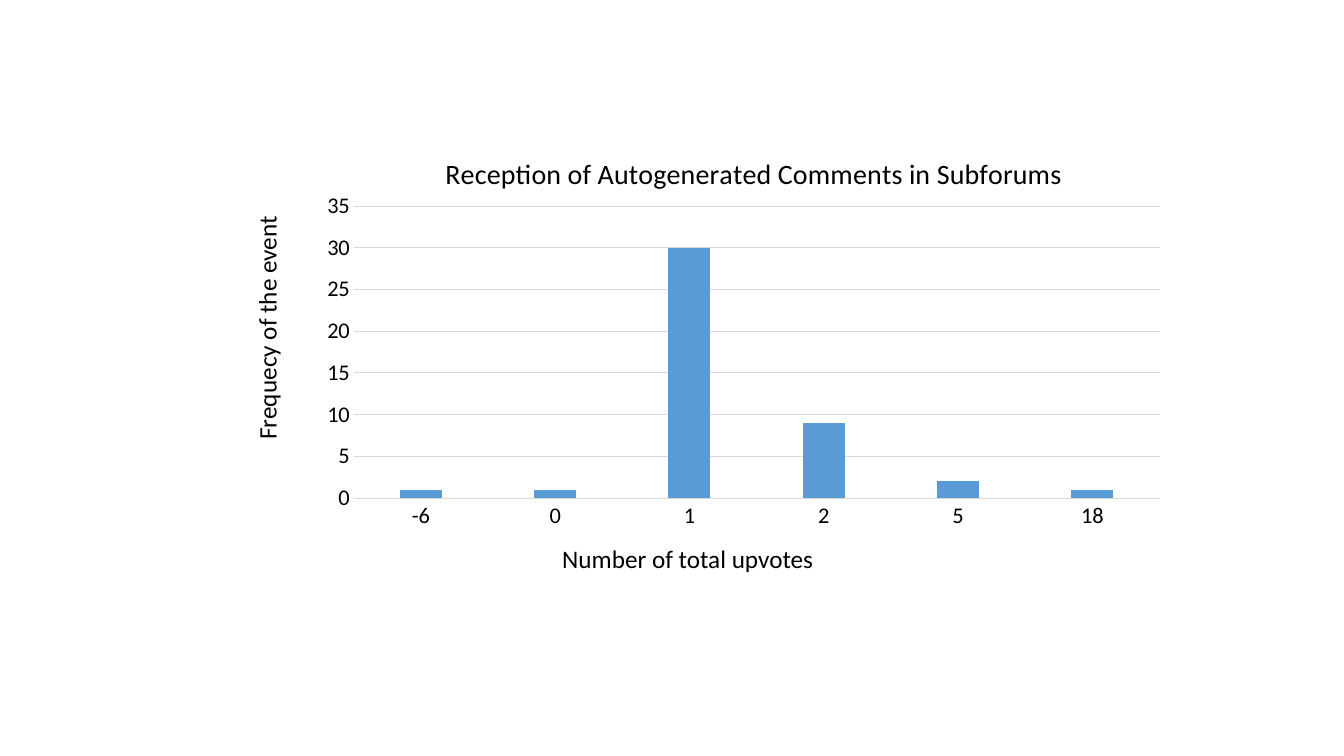
from pptx import Presentation
from pptx import util as u
from pptx.chart import data as chart_data
from pptx.dml import color
from pptx.enum import chart as charts
from pptx.oxml import parse_xml
from pptx.oxml.ns import nsdecls, qn

COLORS = {"text": "000000", "grid": "D9D9D9", "bar": "5B9BD5"}


class SlideBuilder:
    """Add consistently styled elements to the current slide."""

    def __init__(self, page, font_name):
        self.page = page
        self.font_name = font_name

    def color(self, name):
        return color.RGBColor.from_string(COLORS[name])

    def style_font(self, font, size):
        font.name = self.font_name
        font.size = u.Pt(size)
        font.bold = False
        font.color.rgb = self.color("text")

    def style_line(self, line):
        line.color.rgb = self.color("grid")
        line.width = u.Pt(0.75)

    def label(self, words, left, top, width, height, rotation=0):
        box = self.page.shapes.add_textbox(*map(u.Cm, (left, top, width, height)))
        box.rotation = rotation
        box.text_frame.word_wrap = True
        box.text_frame.text = words
        self.style_font(box.text_frame.paragraphs[0].runs[0].font, 18)

    def layout(self, **fractions):
        target = '<c:layoutTarget val="inner"/>' if "w" in fractions else ""
        modes = "".join(f'<c:{key}Mode val="edge"/>' for key in "xy")
        places = "".join(f'<c:{key} val="{value}"/>' for key, value in fractions.items())
        return parse_xml(
            f'<c:layout {nsdecls("c")}><c:manualLayout>{target}{modes}{places}'
            "</c:manualLayout></c:layout>"
        )

    def place(self, element, layout, index):
        for old in element.findall(qn("c:layout")):
            element.remove(old)
        element.insert(index, layout)

    def column_chart(self, title, categories, values, left, top, width, height):
        data = chart_data.CategoryChartData()
        data.categories = categories
        data.add_series("Series 1", values)
        frame = self.page.shapes.add_chart(
            charts.XL_CHART_TYPE.COLUMN_CLUSTERED,
            *map(u.Cm, (left, top, width, height)), data)
        chart = frame.chart
        self.style_font(chart.font, 10)
        chart.has_legend = False

        chart.has_title = True
        heading = chart.chart_title
        heading.text_frame.text = title
        self.style_font(heading.text_frame.paragraphs[0].runs[0].font, 20)
        heading.include_in_layout = False
        self.place(heading._element, self.layout(x=0.15, y=0.05), 1)

        plot = chart.plots[0]
        plot.gap_width = 219
        plot.overlap = -27
        plot.vary_by_categories = False
        fill = plot.series[0].format.fill
        fill.solid()
        fill.fore_color.rgb = self.color("bar")
        plot_area = chart._chartSpace.chart.plotArea
        self.place(plot_area, self.layout(x=0.05, y=0.19, w=0.93, h=0.71), 0)

        for axis in (chart.category_axis, chart.value_axis):
            axis.major_tick_mark = charts.XL_TICK_MARK.NONE
            axis.minor_tick_mark = charts.XL_TICK_MARK.NONE
            self.style_font(axis.tick_labels.font, 16)
        self.style_line(chart.category_axis.format.line)
        scale = chart.value_axis
        scale.format.line.fill.background()
        scale.minimum_scale, scale.maximum_scale, scale.major_unit = 0, 35, 5
        self.style_line(scale.major_gridlines.format.line)


def main():
    deck = Presentation()
    deck.slide_width, deck.slide_height = u.Cm(33.87), u.Cm(19.05)
    page = deck.slides.add_slide(deck.slide_layouts[6])
    builder = SlideBuilder(page, "Calibri")
    builder.label("Number of total upvotes", 13.92, 13.56, 10.03, 1.02)
    builder.label("Frequecy of the event", 3.12, 7.21, 7.21, 1.02, rotation=270)
    builder.column_chart(
        "Reception of Autogenerated Comments in Subforums",
        ["-6", "0", "1", "2", "5", "18"], [1, 1, 30, 9, 2, 1],
        7.82, 3.23, 21.84, 10.36)
    deck.save("out.pptx")


if __name__ == "__main__":
    main()
